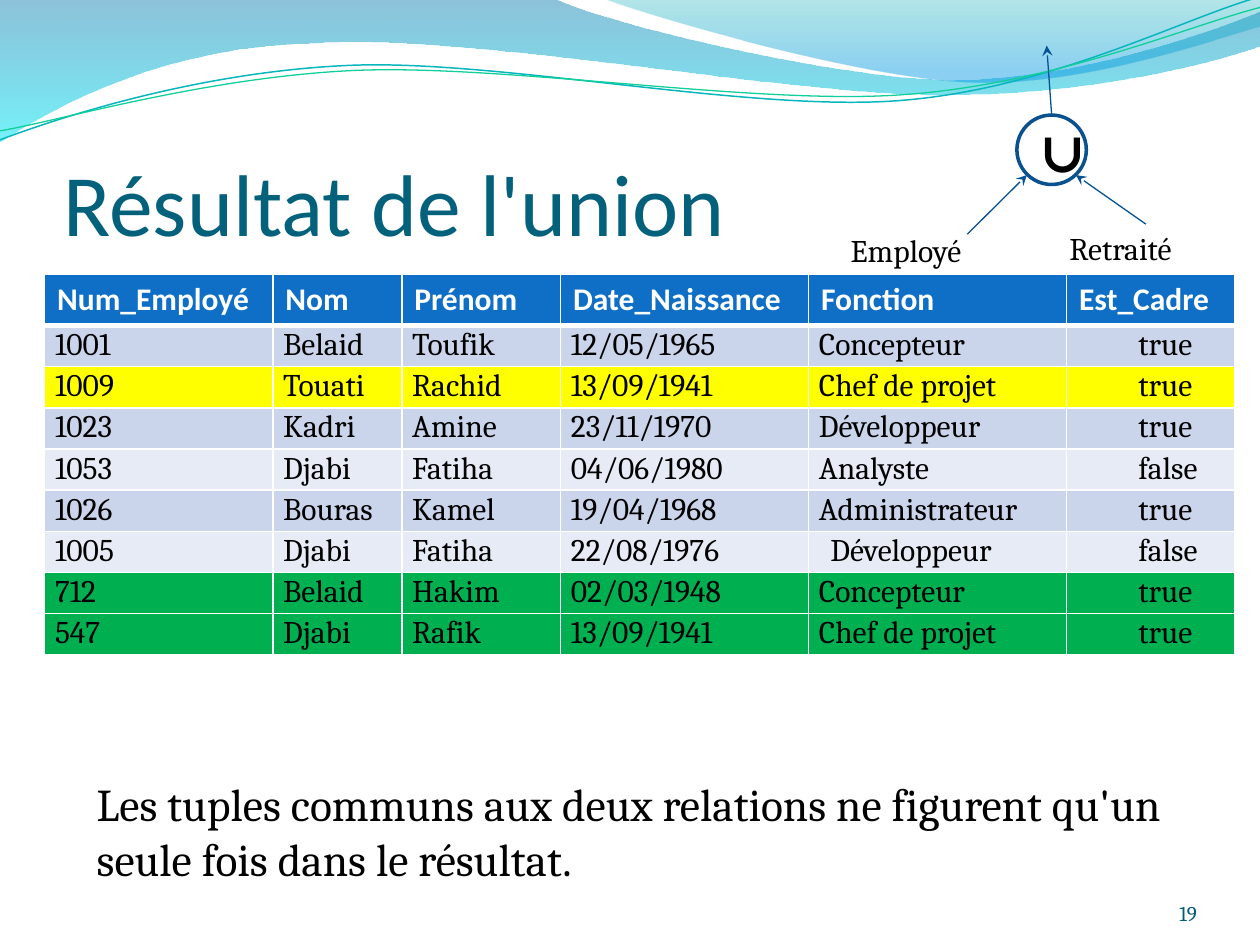
import math
from dataclasses import dataclass

from lxml import etree
from pptx import Presentation
from pptx import util as u
from pptx.dml import color as dml
from pptx.enum import shapes, text
from pptx.oxml import ns

COLORS = {
    "white": "FFFFFF", "black": "000000", "title": "04617B", "number": "035C75",
    "header": "0F6FC6", "band": "CAD4EA", "light": "E6EBF5",
    "common": "FFFF00", "retired": "00B050", "ring": "0A5190", "arrow": "075192",
    "teal": "09B6BE", "green": "10CF9B", "deep": "0079AD", "cyan": "00E9F7",
    "aqua": "00ABB4", "sky": "0099E4",
}


@dataclass(frozen=True)
class Wave:
    frame: tuple
    start: tuple
    segments: tuple
    stops: tuple = ()
    line: str = ""
    width: float = 0
    tilt: float = 0


@dataclass(frozen=True)
class Caption:
    words: str
    box: tuple
    size: float
    font: str = "Cambria"
    color: str = "black"
    anchor: text.MSO_ANCHOR = text.MSO_ANCHOR.TOP
    align: text.PP_ALIGN = text.PP_ALIGN.LEFT
    insets: tuple = (0.25, 0.13, 0.25, 0.13)


@dataclass(frozen=True)
class Tuple:
    values: tuple
    fill: str
    job_indent: float = 0.03


WAVES = (
    Wave((-0.03, -0.03, 25.46, 2.9), (0, 0), (
        (11.18, -0.03), (12.09, 0.43, 16.87, 1.6, 19.25, 1.6),
        (21.67, 1.6, 24.33, 0.66, 25.4, 0.23), (25.43, 0.91),
        (24.97, 1.12, 22.1, 1.93, 18.95, 1.91), (15.8, 1.91, 9.7, 0.71, 6.53, 0.86),
        (3.28, 0.91, 1.17, 2.11, -0.03, 2.87), (0, 0),
    ), stops=((0, "deep", 45), (100, "cyan", 55))),
    Wave((12.17, -0.03, 13.23, 1.78), (12.17, -0.03), (
        (12.93, 0.28, 17.32, 1.57, 19.53, 1.65),
        (21.74, 1.75, 24.41, 0.81, 25.4, 0.53), (25.4, 0), (12.17, -0.03),
    ), stops=((0, "aqua", 30), (80, "sky", 45), (100, "sky", 45))),
    Wave((-0.05, 0.56, 25.45, 1.8), (0, 2.82), (
        (1.22, 2.36, 4.01, 1.45, 7.04, 1.32), (10.03, 1.19, 15.06, 2.26, 18.11, 2.03),
        (21.16, 1.8, 23.83, 0.38, 25.35, -0.05),
    ), line="teal", width=0.85, tilt=-2.7),
    Wave((-0.05, 0.76, 25.48, 1.47), (0, 2.64), (
        (1.19, 2.44, 4.17, 1.55, 7.19, 1.42), (10.24, 1.3, 15.29, 2.13, 18.21, 1.91),
        (21.23, 1.7, 23.93, 0.53, 25.4, 0.15),
    ), line="green", width=0.75, tilt=-2.7),
)
CAPTIONS = (
    Caption("Résultat de l'union", (1.28, 1.95, 22.86, 3.18), 50, "Calibri", "title",
            text.MSO_ANCHOR.BOTTOM, insets=(0, 0.13, 0, 0)),
    Caption("19", (22.02, 17.65, 2.11, 1.02), 12, color="number",
            anchor=text.MSO_ANCHOR.BOTTOM, align=text.PP_ALIGN.RIGHT, insets=(0, 0, 0, 0)),
    Caption("Les tuples communs aux deux relations ne figurent qu'un seule fois "
            "dans le résultat.", (1.7, 15.52, 22.2, 2.49), 26),
    Caption("Retraité", (21.31, 4.48, 3.99, 1.02), 18),
    Caption("Employé", (16.9, 4.52, 3.99, 1.02), 18),
)
UNION = Caption("∪", (20.5, 2.32, 1.4, 1.4), 32, anchor=text.MSO_ANCHOR.MIDDLE,
                align=text.PP_ALIGN.CENTER)
ARROWS = (
    (23.1, 4.52, 21.69, 3.53),
    (19.5, 4.72, 20.7, 3.53),
    (21.2, 2.32, 21.1, 0.92),
)
HEADINGS = ("Num_Employé", "Nom", "Prénom", "Date_Naissance", "Fonction", "Est_Cadre")
COLUMN_WIDTHS = (4.6, 2.6, 3.2, 5, 5.2, 3.4)
ROW_HEIGHT = 0.83
TUPLES = (
    Tuple(("1001", "Belaid", "Toufik", "12/05/1965", "Concepteur", "true"), "band"),
    Tuple(("1009", "Touati", "Rachid", "13/09/1941", "Chef de projet", "true"), "common"),
    Tuple(("1023", "Kadri", "Amine", "23/11/1970", "Développeur", "true"), "band"),
    Tuple(("1053", "Djabi", "Fatiha", "04/06/1980", "Analyste", "false"), "light"),
    Tuple(("1026", "Bouras", "Kamel", "19/04/1968", "Administrateur", "true"), "band"),
    Tuple(("1005", "Djabi", "Fatiha", "22/08/1976", "Développeur", "false"), "light", 0.26),
    Tuple(("712", "Belaid", "Hakim", "02/03/1948", "Concepteur", "true"), "retired"),
    Tuple(("547", "Djabi", "Rafik", "13/09/1941", "Chef de projet", "true"), "retired"),
)


def rgb(name: str) -> dml.RGBColor:
    return dml.RGBColor.from_string(COLORS[name])


def add_child(parent, tag: str, **attributes):
    child = etree.SubElement(parent, ns.qn(tag))
    for key, value in attributes.items():
        child.set(key, str(value))
    return child


def frame_point(wave: Wave, x: float, y: float) -> tuple:
    left, top, width, height = wave.frame
    dx, dy = x - left - width / 2, y - top - height / 2
    angle = math.radians(-wave.tilt)
    return (u.Cm(width / 2 + dx * math.cos(angle) - dy * math.sin(angle)),
            u.Cm(height / 2 + dx * math.sin(angle) + dy * math.cos(angle)))


def bend_outline(ribbon, wave: Wave) -> None:
    ribbon.left, ribbon.top, ribbon.width, ribbon.height = map(u.Cm, wave.frame)
    ribbon.rotation = wave.tilt
    outline = next(ribbon._element.iter(ns.qn("a:path")))
    outline.set("w", str(ribbon.width))
    outline.set("h", str(ribbon.height))
    for step in list(outline):
        outline.remove(step)
    for segment in (wave.start, *wave.segments):
        tag = "a:cubicBezTo" if len(segment) == 6 else "a:lnTo"
        step = add_child(outline, "a:moveTo" if len(outline) == 0 else tag)
        for pair in zip(segment[::2], segment[1::2]):
            x, y = frame_point(wave, *pair)
            add_child(step, "a:pt", x=x, y=y)
    if wave.stops:
        add_child(outline, "a:close")


def draw_wave(slide, wave: Wave) -> None:
    builder = slide.shapes.build_freeform(*map(u.Cm, wave.start))
    builder.add_line_segments([tuple(map(u.Cm, segment[-2:])) for segment in wave.segments],
                              close=bool(wave.stops))
    ribbon = builder.convert_to_shape()
    bend_outline(ribbon, wave)
    ribbon.shadow.inherit = False
    if wave.line:
        ribbon.fill.background()
        ribbon.line.color.rgb = rgb(wave.line)
        ribbon.line.width = u.Pt(wave.width)
        return
    ribbon.line.fill.background()
    gradient = etree.Element(ns.qn("a:gradFill"), rotWithShape="1")
    stops = add_child(gradient, "a:gsLst")
    for position, color, opacity in wave.stops:
        stop = add_child(stops, "a:gs", pos=position * 1000)
        tint = add_child(stop, "a:srgbClr", val=COLORS[color])
        add_child(tint, "a:alpha", val=opacity * 1000)
    add_child(gradient, "a:lin", ang=90 * 60000, scaled=0)
    ribbon._element.spPr.find(ns.qn("a:custGeom")).addnext(gradient)


def format_font(paragraph, size: float, font: str, color: str, bold: bool = False) -> None:
    for run in paragraph.runs:
        run.font.size = u.Pt(size)
        run.font.name = font
        run.font.bold = bold
        run.font.color.rgb = rgb(color)


def write_caption(holder, caption: Caption, bold: bool = False) -> None:
    frame = holder.text_frame
    frame.word_wrap = True
    frame.vertical_anchor = caption.anchor
    (frame.margin_left, frame.margin_top,
     frame.margin_right, frame.margin_bottom) = map(u.Cm, caption.insets)
    frame.text = caption.words
    frame.paragraphs[0].alignment = caption.align
    format_font(frame.paragraphs[0], caption.size, caption.font, caption.color, bold)


def draw_union(slide) -> None:
    ring = slide.shapes.add_shape(shapes.MSO_SHAPE.OVAL, *map(u.Cm, UNION.box))
    ring.shadow.inherit = False
    ring.fill.solid()
    ring.fill.fore_color.rgb = rgb("white")
    ring.line.color.rgb = rgb("ring")
    ring.line.width = u.Pt(2)
    write_caption(ring, UNION, bold=True)


def draw_arrow(slide, ends: tuple) -> None:
    arrow = slide.shapes.add_connector(shapes.MSO_CONNECTOR.STRAIGHT, *map(u.Cm, ends))
    arrow.line.color.rgb = rgb("arrow")
    arrow.line.width = u.Pt(0.75)
    add_child(arrow.line._get_or_add_ln(), "a:tailEnd", type="stealth")
    add_child(arrow._element.spPr, "a:effectLst")


def format_cell(cell, words: str, fill: str, top: float, bottom: float) -> None:
    properties = cell._tc.get_or_add_tcPr()
    for side, width in (("L", 1), ("R", 1), ("T", top), ("B", bottom)):
        border = add_child(properties, f"a:ln{side}", w=u.Pt(width))
        add_child(add_child(border, "a:solidFill"), "a:srgbClr", val=COLORS["white"])
    cell.fill.solid()
    cell.fill.fore_color.rgb = rgb(fill)
    cell.text_frame.text = words


def draw_relation(slide) -> None:
    relation = slide.shapes.add_table(
        len(TUPLES) + 1, len(HEADINGS), u.Cm(0.9), u.Cm(5.53),
        u.Cm(sum(COLUMN_WIDTHS)), u.Cm(ROW_HEIGHT * (len(TUPLES) + 1))).table
    relation.horz_banding = False
    for column, width in zip(relation.columns, COLUMN_WIDTHS):
        column.width = u.Cm(width)
    for column, heading in enumerate(HEADINGS):
        cell = relation.cell(0, column)
        format_cell(cell, heading, "header", 1, 3)
        format_font(cell.text_frame.paragraphs[0], 18, "Calibri", "white", True)
    for row, entry in enumerate(TUPLES, 1):
        indents = (0.03,) * 4 + (entry.job_indent, 1.27)
        for column, (value, indent) in enumerate(zip(entry.values, indents)):
            cell = relation.cell(row, column)
            format_cell(cell, value, entry.fill, 3 if row == 1 else 1, 1)
            cell.margin_left = cell.margin_right = u.Cm(0.18)
            cell.margin_top = cell.margin_bottom = 0
            paragraph = cell.text_frame.paragraphs[0]
            paragraph.line_spacing = 1.05
            paragraph._p.get_or_add_pPr().set("marL", str(u.Cm(indent)))
            format_font(paragraph, 18, "Cambria", "black")


def main() -> None:
    deck = Presentation()
    deck.slide_width, deck.slide_height = u.Cm(25.4), u.Cm(19.05)
    slide = deck.slides.add_slide(deck.slide_layouts[6])
    for wave in WAVES:
        draw_wave(slide, wave)
    draw_relation(slide)
    draw_union(slide)
    for ends in ARROWS:
        draw_arrow(slide, ends)
    for caption in CAPTIONS:
        write_caption(slide.shapes.add_textbox(*map(u.Cm, caption.box)), caption)
    deck.save("out.pptx")


if __name__ == "__main__":
    main()
